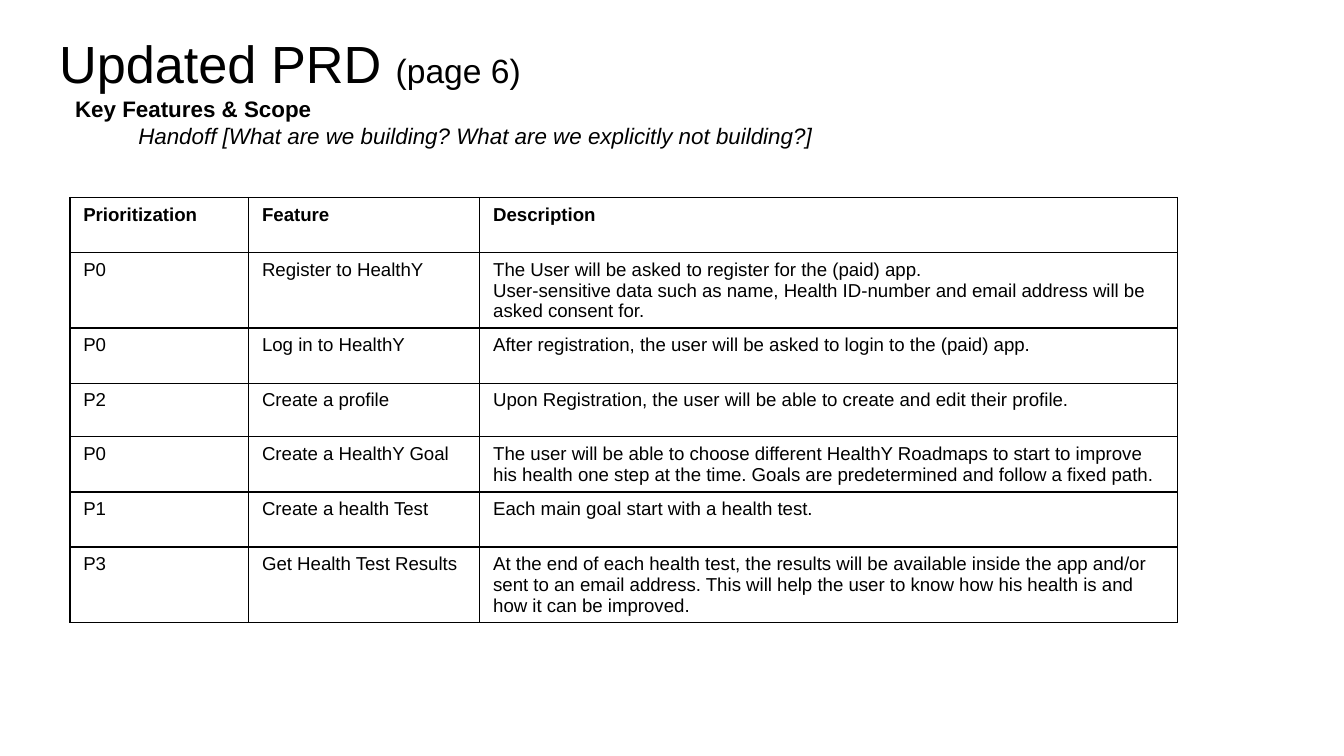
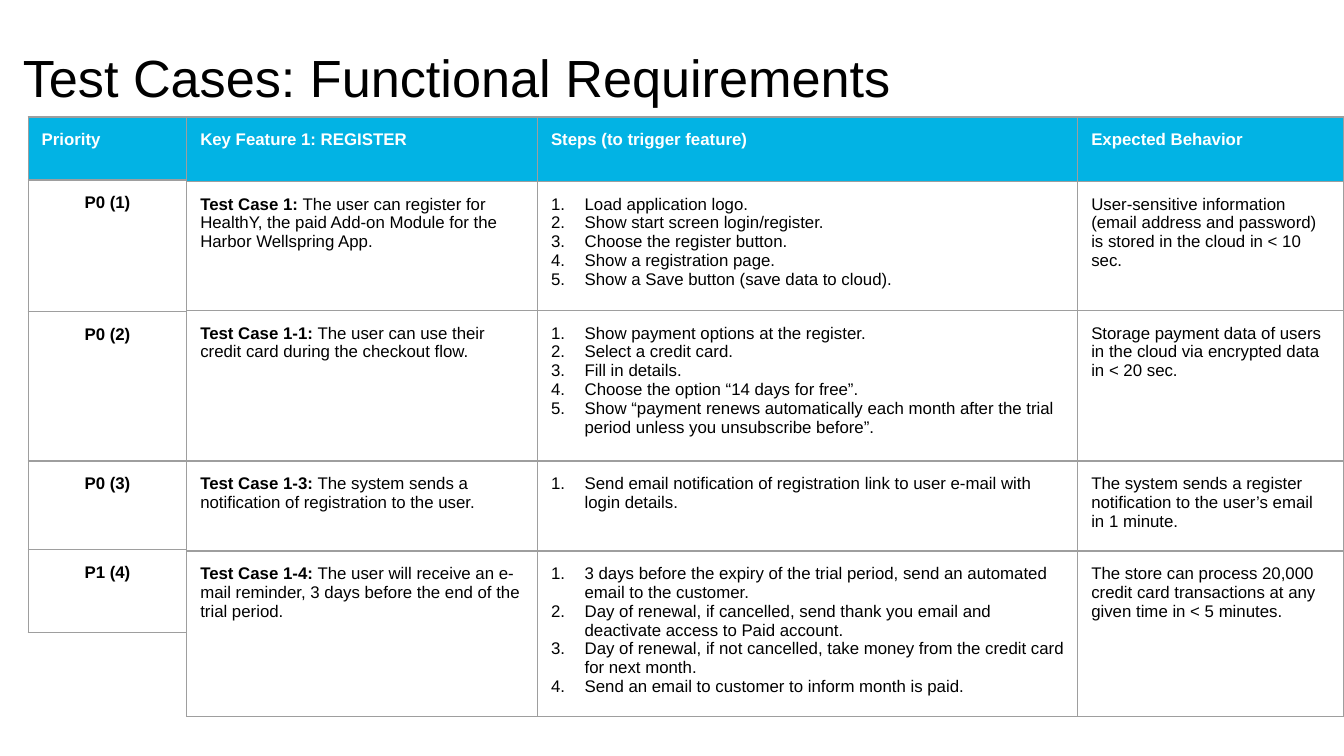
from lxml import etree
from pptx import Presentation
from pptx import util as u
from pptx.dml.color import RGBColor
from pptx.enum import text
from pptx.oxml import ns

COLORS = {"ink": "000000", "paper": "FFFFFF", "header": "02B3E4", "grid": "9E9E9E"}
FONT = "Arial"

FEATURE_HEADERS = ("Prioritization", "Feature", "Description")
FEATURES = [
    ("P0", "Register to HealthY",
     ["The User will be asked to register for the (paid) app.",
      "User-sensitive data such as name, Health ID-number and email address "
      "will be asked consent for."]),
    ("P0", "Log in to HealthY",
     "After registration, the user will be asked to login to the (paid) app."),
    ("P2", "Create a profile",
     "Upon Registration, the user will be able to create and edit their profile."),
    ("P0", "Create a HealthY Goal",
     "The user will be able to choose different HealthY Roadmaps to start to improve "
     "his health one step at the time. Goals are predetermined and follow a fixed path."),
    ("P1", "Create a health Test", "Each main goal start with a health test."),
    ("P3", "Get Health Test Results",
     "At the end of each health test, the results will be available inside the app and/or "
     "sent to an email address. This will help the user to know how his health is and "
     "how it can be improved."),
]

PRIORITIES = ("P0 (1)", "P0 (2)", "P0 (3)", "P1 (4)")
CASE_HEADERS = ("Key Feature 1: REGISTER", "Steps (to trigger feature)", "Expected Behavior")
CASES = [
    ("Test Case 1: ",
     "The user can register for HealthY, the paid Add-on Module for the "
     "Harbor Wellspring App.",
     ["Load application logo.", "Show start screen login/register.",
      "Choose the register button.", "Show a registration page.",
      "Show a Save button (save data to cloud)."],
     "User-sensitive information (email address and password) is stored in the cloud "
     "in < 10 sec."),
    ("Test Case 1-1: ",
     "The user can use their credit card during the checkout flow.",
     ["Show payment options at the register.", "Select a credit card.", "Fill in details.",
      "Choose the option “14 days for free”.",
      "Show “payment renews automatically each month after the trial period unless you "
      "unsubscribe before”."],
     "Storage payment data of users in the cloud via encrypted data in < 20 sec."),
    ("Test Case 1-3: ",
     "The system sends a notification of registration to the user.",
     ["Send email notification of registration link to user e-mail with login details."],
     "The system sends a register notification to the user’s email in 1 minute."),
    ("Test Case 1-4: ",
     "The user will receive an e-mail reminder, 3 days before the end of the trial period.",
     ["3 days before the expiry of the trial period, send an automated email to the customer.",
      "Day of renewal, if cancelled, send thank you email and deactivate access to "
      "Paid account.",
      "Day of renewal, if not cancelled, take money from the credit card for next month.",
      "Send an email to customer to inform month is paid."],
     "The store can process 20,000 credit card transactions at any given time "
     "in < 5 minutes."),
]


def rgb(name):
    return RGBColor.from_string(COLORS[name])


def set_font(font, size, color="ink", bold=False, italic=False):
    font.name, font.size = FONT, u.Pt(size)
    font.bold, font.italic = bold, italic
    font.color.rgb = rgb(color)


def set_margins(target, top=0.1, bottom=0.1):
    target.margin_left = target.margin_right = u.Inches(0.1)
    target.margin_top, target.margin_bottom = u.Inches(top), u.Inches(bottom)


def indent(paragraph, left, hanging=0):
    properties = paragraph._p.get_or_add_pPr()
    properties.set("marL", str(u.Inches(left)))
    properties.set("indent", str(-u.Inches(hanging)))
    return properties


def number(paragraph):
    properties = indent(paragraph, 0.25, 0.25)
    bullet_color = etree.Element(ns.qn("a:buClr"))
    etree.SubElement(bullet_color, ns.qn("a:srgbClr"), val=COLORS["ink"])
    bullet_font = etree.Element(ns.qn("a:buFont"), typeface=FONT)
    numbering = etree.Element(ns.qn("a:buAutoNum"), type="arabicPeriod")
    for position, element in enumerate((bullet_color, bullet_font, numbering)):
        properties.insert(position, element)


def write_lines(frame, lines, size, color="ink", bold=False):
    for index, line in enumerate(lines):
        paragraph = frame.paragraphs[0] if index == 0 else frame.add_paragraph()
        paragraph.text = line
        set_font(paragraph.font, size, color, bold)


def add_title_slide(presentation, left, top, title, suffix=None):
    slide = presentation.slides.add_slide(presentation.slide_layouts[5])
    shape = slide.shapes.title
    shape.left, shape.top = u.Inches(left), u.Inches(top)
    shape.width, shape.height = u.Inches(9.32), u.Inches(0.63)
    frame = shape.text_frame
    set_margins(frame)
    frame.auto_size = text.MSO_AUTO_SIZE.NONE
    frame.vertical_anchor = text.MSO_ANCHOR.TOP
    paragraph = frame.paragraphs[0]
    paragraph.alignment = text.PP_ALIGN.LEFT
    paragraph.line_spacing = 1.0
    for words, size in ((title, 28), (suffix, 18)):
        if words:
            run = paragraph.add_run()
            run.text = words
            set_font(run.font, size)
    return slide


def add_scope_note(slide):
    shape = slide.shapes.add_textbox(
        u.Inches(0.34), u.Inches(0.61), u.Inches(9.32), u.Inches(4.75))
    frame = shape.text_frame
    frame.word_wrap = True
    set_margins(frame)
    write_lines(frame, ["Key Features & Scope",
                        "Handoff [What are we building? What are we explicitly not building?]"], 12)
    heading, question = frame.paragraphs
    heading.font.bold = True
    question.font.italic = True
    for paragraph, left in ((heading, 0.12), (question, 0.59)):
        indent(paragraph, left)
        paragraph.line_spacing = 1.0


def add_borders(cell, color):
    properties = cell._tc.get_or_add_tcPr()
    for side in ("lnL", "lnR", "lnT", "lnB"):
        line = etree.SubElement(properties, ns.qn(f"a:{side}"), w=str(u.Pt(0.75)))
        fill = etree.SubElement(line, ns.qn("a:solidFill"))
        etree.SubElement(fill, ns.qn("a:srgbClr"), val=COLORS[color])


def add_grid(slide, left, top, widths, heights, border, margins=(0.1, 0.1), header_fill=None):
    table = slide.shapes.add_table(
        len(heights), len(widths), u.Inches(left), u.Inches(top),
        u.Inches(sum(widths)), u.Inches(sum(heights))).table
    table.first_row = table.horz_banding = False
    for column, width in zip(table.columns, widths):
        column.width = u.Inches(width)
    for index, (row, height) in enumerate(zip(table.rows, heights)):
        row.height = u.Inches(height)
        for cell in row.cells:
            set_margins(cell, *margins)
            add_borders(cell, border)
            if header_fill and index == 0:
                cell.fill.solid()
                cell.fill.fore_color.rgb = rgb(header_fill)
            else:
                cell.fill.background()
    return table


def add_feature_table(slide):
    heights = [0.41, 0.56, 0.41, 0.4, 0.41, 0.41, 0.56]
    table = add_grid(slide, 0.52, 1.47, [1.33, 1.72, 5.19], heights, "ink", (0.05, 0.01))
    for row_index, row in enumerate([FEATURE_HEADERS] + FEATURES):
        for column_index, content in enumerate(row):
            lines = [content] if isinstance(content, str) else content
            frame = table.cell(row_index, column_index).text_frame
            write_lines(frame, lines, 10, bold=row_index == 0)


def write_headers(table, headers):
    for cell, header in zip(table.rows[0].cells, headers):
        write_lines(cell.text_frame, [header], 9, "paper", True)


def add_case_table(slide):
    table = add_grid(slide, 1.39, 0.87, [2.61, 4.02, 1.98],
                     [0.48, 0.96, 1.12, 0.67, 1.23], "grid", header_fill="header")
    write_headers(table, CASE_HEADERS)
    for row_index, (label, summary, steps, expected) in enumerate(CASES, 1):
        case, actions, behavior = [cell.text_frame for cell in table.rows[row_index].cells]
        for words, bold in ((label, True), (summary, False)):
            run = case.paragraphs[0].add_run()
            run.text = words
            set_font(run.font, 9, bold=bold)
        write_lines(actions, steps, 9)
        for paragraph in actions.paragraphs:
            number(paragraph)
        write_lines(behavior, [expected], 9)


def add_priority_table(slide):
    table = add_grid(slide, 0.21, 0.87, [1.18], [0.47, 0.98, 1.11, 0.66, 0.62],
                     "grid", header_fill="header")
    write_headers(table, ["Priority"])
    for row_index, priority in enumerate(PRIORITIES, 1):
        frame = table.cell(row_index, 0).text_frame
        write_lines(frame, [priority], 9, bold=True)
        frame.paragraphs[0].alignment = text.PP_ALIGN.CENTER


def main():
    presentation = Presentation()
    presentation.slide_width = u.Inches(10)
    presentation.slide_height = presentation.slide_width * 9 // 16

    features = add_title_slide(presentation, 0.34, 0.13, "Updated PRD ", "(page 6)")
    add_scope_note(features)
    add_feature_table(features)

    cases = add_title_slide(presentation, 0.07, 0.24, "Test Cases: Functional Requirements")
    add_case_table(cases)
    add_priority_table(cases)

    presentation.save("out.pptx")


if __name__ == "__main__":
    main()
